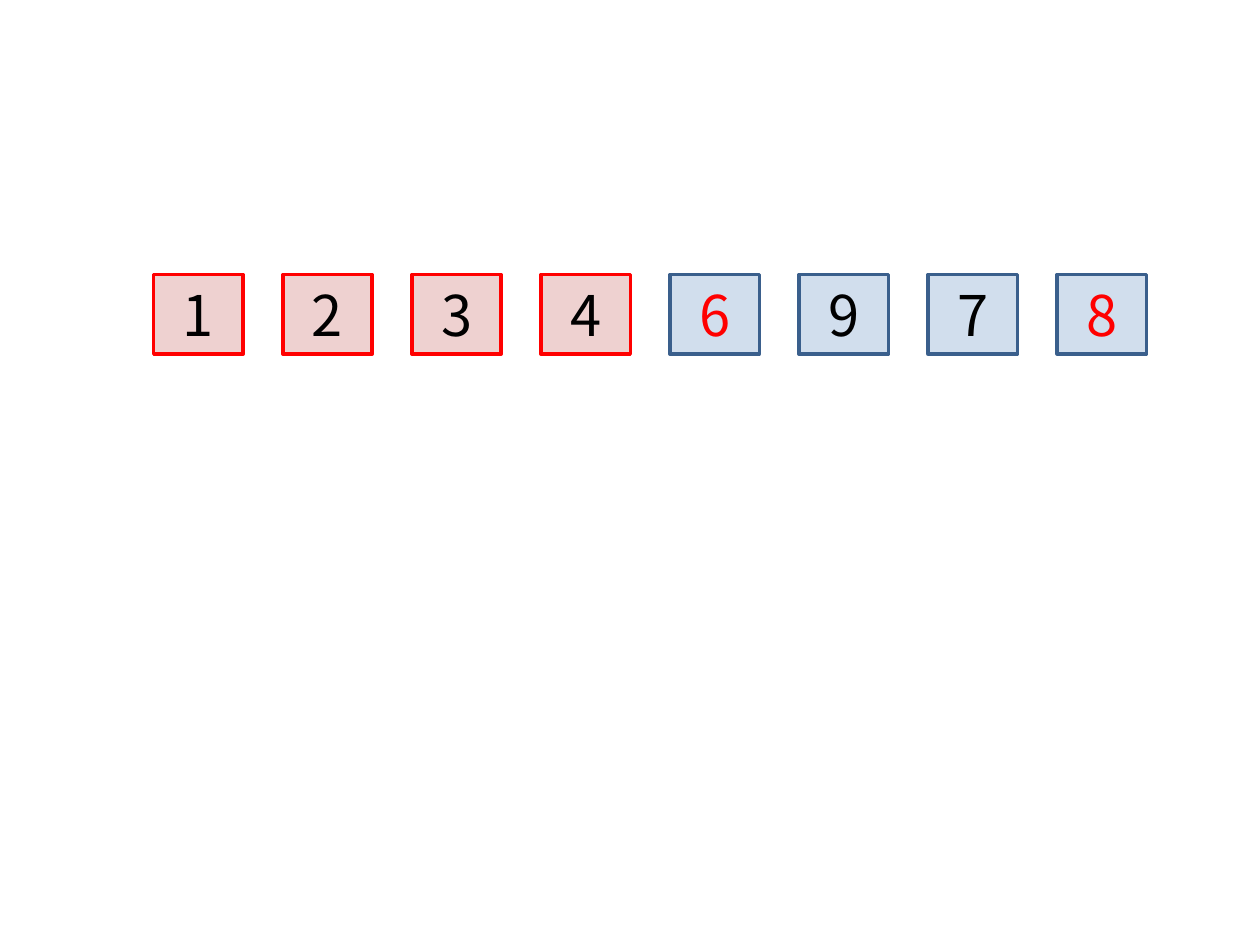
from pptx import Presentation
from pptx.dml.color import RGBColor as RGB
from pptx.enum.shapes import MSO_SHAPE as SHAPE
from pptx.enum.text import MSO_ANCHOR as ANCHOR, PP_ALIGN as ALIGN
from pptx.oxml.ns import qn
from pptx.util import Inches, Pt
from lxml.etree import SubElement

COLORS = {
    "sorted_fill": "C0504D", "sorted_line": "FF0000",
    "open_fill": "4F81BD", "open_line": "3A5F8C",
    "plain": "000000", "marked": "FF0000",
}
FONT = "Noto Sans CJK KR"
CELL_WIDTH = 0.71
FILL_ALPHA = 26


def color(name):
    """Return the named colour."""
    return RGB.from_string(COLORS[name])


def add_cell(slide, box, value, state, text_color):
    """Draw one array element in the given box."""
    s = slide.shapes.add_shape(SHAPE.RECTANGLE, *map(Inches, box))
    s.shadow.inherit = False
    s.fill.solid()
    s.fill.fore_color.rgb = color(f"{state}_fill")
    fill = s.fill._xPr.find(qn("a:solidFill"))
    SubElement(fill[0], qn("a:alpha"), val=str(FILL_ALPHA * 1000))
    s.line.color.rgb = color(f"{state}_line")
    s.line.width = Pt(2)
    tf = s.text_frame
    tf.vertical_anchor = ANCHOR.MIDDLE
    p = tf.paragraphs[0]
    p.text = str(value)
    p.alignment = ALIGN.CENTER
    p.font.name = FONT
    p.font.size = Pt(32)
    p.font.color.rgb = color(text_color)


def add_array(slide, box, values, sorted_count, marked):
    """Spread the array elements evenly across the given box."""
    left, top, width, height = box
    pitch = (width - CELL_WIDTH) / (len(values) - 1)
    for i, value in enumerate(values):
        state = "sorted" if i < sorted_count else "open"
        text_color = "marked" if value in marked else "plain"
        cell = (left + i * pitch, top, CELL_WIDTH, height)
        add_cell(slide, cell, value, state, text_color)


prs = Presentation()
prs.slide_width, prs.slide_height = Inches(10), Inches(7.5)
slide = prs.slides.add_slide(prs.slide_layouts[6])
add_array(slide, (1.22, 2.18, 7.88, 0.63), [1, 2, 3, 4, 6, 9, 7, 8],
          sorted_count=4, marked={6, 8})
prs.save("out.pptx")
